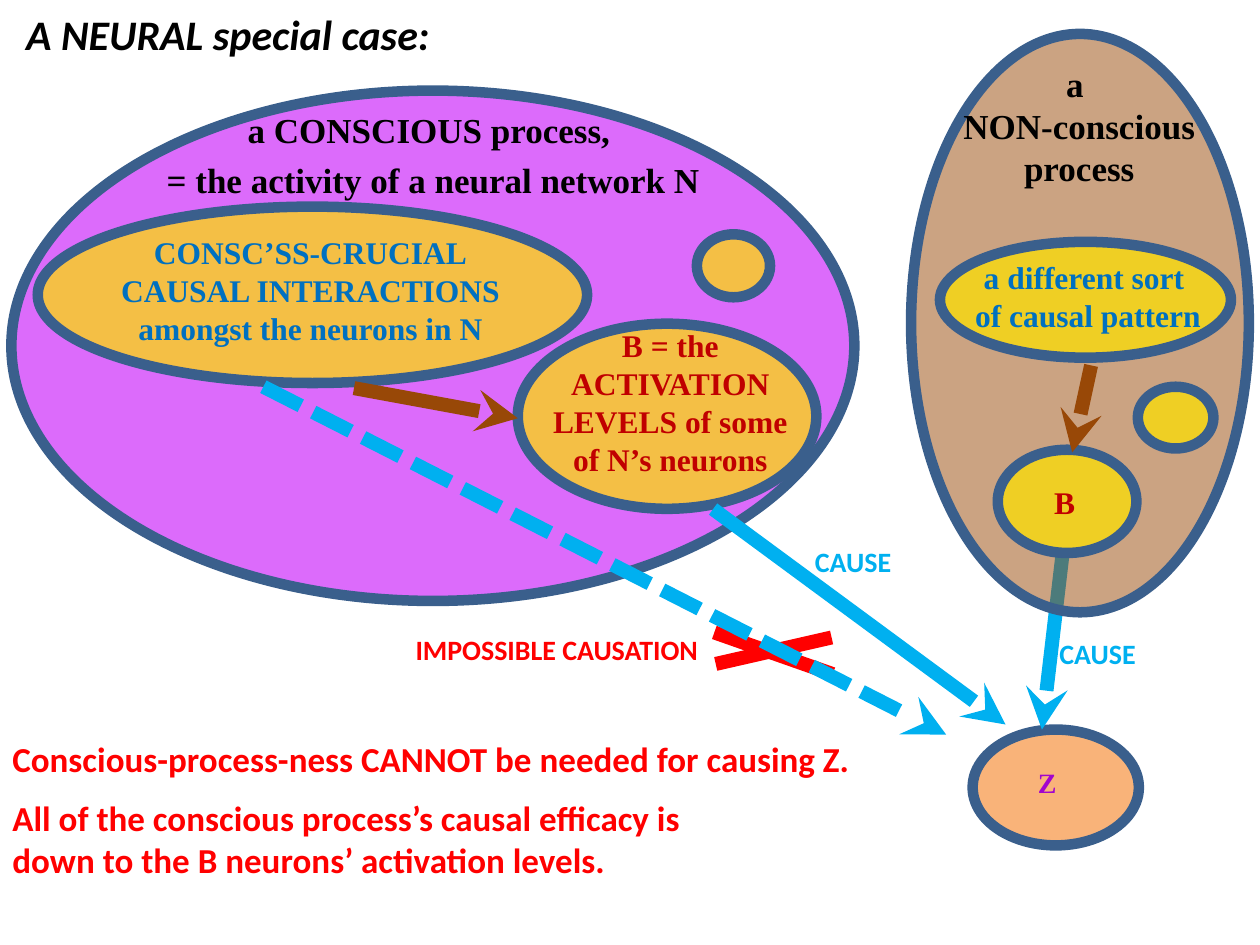
"""Build a slide contrasting the causal roles of a conscious and a non-conscious process."""
from dataclasses import dataclass, field
from typing import Any

from lxml.etree import SubElement
from pptx import Presentation
from pptx.dml.color import RGBColor
from pptx.enum.dml import MSO_LINE_DASH_STYLE as Dash
from pptx.enum.shapes import MSO_CONNECTOR as Connector, MSO_SHAPE as Shape
from pptx.enum.text import MSO_ANCHOR as Anchor, PP_ALIGN as Align
from pptx.oxml.ns import qn
from pptx.slide import Slide
from pptx.util import Pt

BLACK = RGBColor(0x00, 0x00, 0x00)
RED = RGBColor(0xFF, 0x00, 0x00)
DARK_RED = RGBColor(0xC0, 0x00, 0x00)
BLUE = RGBColor(0x00, 0x70, 0xC0)
SKY = RGBColor(0x00, 0xB0, 0xF0)
PURPLE = RGBColor(0xA2, 0x05, 0xCD)
VIOLET = RGBColor(0xCF, 0x32, 0xFA)
ORANGE = RGBColor(0xF7, 0x96, 0x46)
YELLOW = RGBColor(0xFE, 0xE0, 0x00)
BROWN = RGBColor(0x98, 0x48, 0x07)
OUTLINE = RGBColor(0x3A, 0x5F, 0x8C)

SERIF = {"name": "Times New Roman", "bold": True}
SANS = {"name": "Calibri", "bold": True}
TITLE = SANS | {"size": Pt(24), "italic": True}
CONCLUSION = SANS | {"size": Pt(20)}
LABEL = SANS | {"size": Pt(16)}
HEADING = SERIF | {"size": Pt(20)}
BODY = SERIF | {"size": Pt(18)}
SMALL = SERIF | {"size": Pt(16)}

CENTERED = {"alignment": Align.CENTER}
SPACED = CENTERED | {"space_after": Pt(5)}
LEFT = {"alignment": Align.LEFT}
LEAD = LEFT | {"space_before": Pt(10)}

Box = tuple[float, float, float, float]
Point = tuple[float, float]


@dataclass(frozen=True)
class Oval:
    box: Box
    color: RGBColor = YELLOW
    opacity: int = 72


@dataclass(frozen=True)
class Text:
    box: Box
    lines: tuple[str, ...]
    color: RGBColor
    font: dict[str, Any]
    formats: tuple[dict[str, Any], ...] = (CENTERED,)
    anchor: Anchor = Anchor.TOP


@dataclass(frozen=True)
class Line:
    start: Point
    end: Point
    color: RGBColor
    format: dict[str, Any] = field(default_factory=dict)
    arrow: bool = True


ITEMS = (
    Oval((6.5, 51.8, 481.7, 291.6), VIOLET),
    Text((7.9, -4.3, 289.4, 46.8), ("A NEURAL special case:",), BLACK, TITLE, (LEFT,), Anchor.MIDDLE),
    Oval((555.8, 416.9, 95, 66.2), ORANGE),
    Line((607, 318.2), (595.4, 416.9), SKY),
    Text((574.6, 434.2, 47.5, 26.6), ("Z",), PURPLE, SMALL, (SPACED,)),
    Text((0, 417.6, 501.1, 114.5),
         ("Conscious-process-ness CANNOT be needed for causing Z.",
          "All of the conscious process’s causal efficacy is",
          "down to the B neurons’ activation levels."), RED, CONCLUSION, (LEAD, LEAD, LEFT)),
    Oval((21.6, 118.1, 313.9, 100.8)),
    Text((41, 129.6, 272.9, 72.7),
         ("CONSC’SS-CRUCIAL", "CAUSAL INTERACTIONS", "amongst the neurons in N"), BLUE, BODY),
    Text((230.4, 357.8, 213.1, 28.1), ("IMPOSSIBLE CAUSATION",), RED, LABEL, (LEAD,)),
    Text((62.6, 58.3, 370.1, 60.5),
         ("a CONSCIOUS process, ", "= the activity of a neural network N"), BLACK, HEADING, (SPACED,)),
    Oval((295.9, 185, 170.6, 105.8)),
    Text((299.5, 182.9, 167, 94.3),
         ("B = the ACTIVATION LEVELS of some of N’s neurons",), DARK_RED, BODY, (SPACED,)),
    Text((598.3, 360, 65.5, 28.1), ("CAUSE",), SKY, LABEL, (LEAD,)),
    Line((407.5, 290.9), (574.6, 414), SKY),
    Text((458.6, 307.4, 65.5, 28.1), ("CAUSE",), SKY, LABEL, (LEAD,)),
    Line((408.2, 361.4), (475.9, 385.2), RED, arrow=False),
    Line((475.2, 364.3), (409, 379.4), RED, arrow=False),
    Line((150.5, 221), (540.7, 419.8), SKY, {"dash_style": Dash.SQUARE_DOT}),
    Oval((520.6, 19.4, 193, 330.5), BROWN, 50),
    Text((503.3, 32.4, 226.8, 79.9), ("a ", "NON-conscious", "process"), BLACK, HEADING),
    Oval((570.2, 257, 79.2, 59)),
    Text((581, 272.2, 54.7, 28.8), ("B",), DARK_RED, BODY, (SPACED,)),
    Oval((537.1, 138.2, 166.3, 66.2)),
    Line((623.5, 208.8), (612.7, 258.5), BROWN),
    Text((537.8, 144, 167.8, 51.1), ("a different sort ", "of causal pattern"), BLUE, BODY),
    Oval((398.2, 133.9, 41.8, 36)),
    Line((202.3, 221.8), (295.9, 239), BROWN),
    Oval((650.2, 221, 43.2, 35.3)),
)


def apply_format(target: Any, values: dict[str, Any]) -> None:
    """Set each named attribute of the target."""
    for name, value in values.items():
        setattr(target, name, value)


def draw_oval(slide: Slide, oval: Oval) -> None:
    """Draw a translucent ellipse with a heavy outline."""
    shape = slide.shapes.add_shape(Shape.OVAL, *map(Pt, oval.box))
    shape.shadow.inherit = False
    shape.fill.solid()
    shape.fill.fore_color.rgb = oval.color
    fill_color = shape.element.spPr.find(qn("a:solidFill")).find(qn("a:srgbClr"))
    SubElement(fill_color, qn("a:alpha"), val=str(oval.opacity * 1000))
    shape.line.color.rgb = OUTLINE
    shape.line.width = Pt(6)


def draw_text(slide: Slide, text: Text) -> None:
    """Draw a wrapped text box, one paragraph per line."""
    frame = slide.shapes.add_textbox(*map(Pt, text.box)).text_frame
    apply_format(frame, {"word_wrap": True, "vertical_anchor": text.anchor})
    for index, line in enumerate(text.lines):
        paragraph = frame.add_paragraph() if index else frame.paragraphs[0]
        apply_format(paragraph, text.formats[index % len(text.formats)])
        run = paragraph.add_run()
        run.text = line
        apply_format(run.font, text.font)
        run.font.color.rgb = text.color


def draw_line(slide: Slide, line: Line) -> None:
    """Draw a thick straight line, with a stealth head if it is an arrow."""
    connector = slide.shapes.add_connector(Connector.STRAIGHT, *map(Pt, line.start + line.end))
    connector.line.color.rgb = line.color
    apply_format(connector.line, {"width": Pt(8)} | line.format)
    properties = connector.element.spPr
    if line.arrow:
        SubElement(properties.find(qn("a:ln")), qn("a:tailEnd"), type="stealth")
    SubElement(properties, qn("a:effectLst"))


DRAWERS = {Oval: draw_oval, Text: draw_text, Line: draw_line}


def main() -> None:
    """Draw every item from back to front and save the presentation."""
    presentation = Presentation()
    apply_format(presentation, {"slide_width": Pt(720), "slide_height": Pt(540)})
    slide = presentation.slides.add_slide(presentation.slide_layouts[6])
    for item in ITEMS:
        DRAWERS[type(item)](slide, item)
    presentation.save("out.pptx")


if __name__ == "__main__":
    main()
